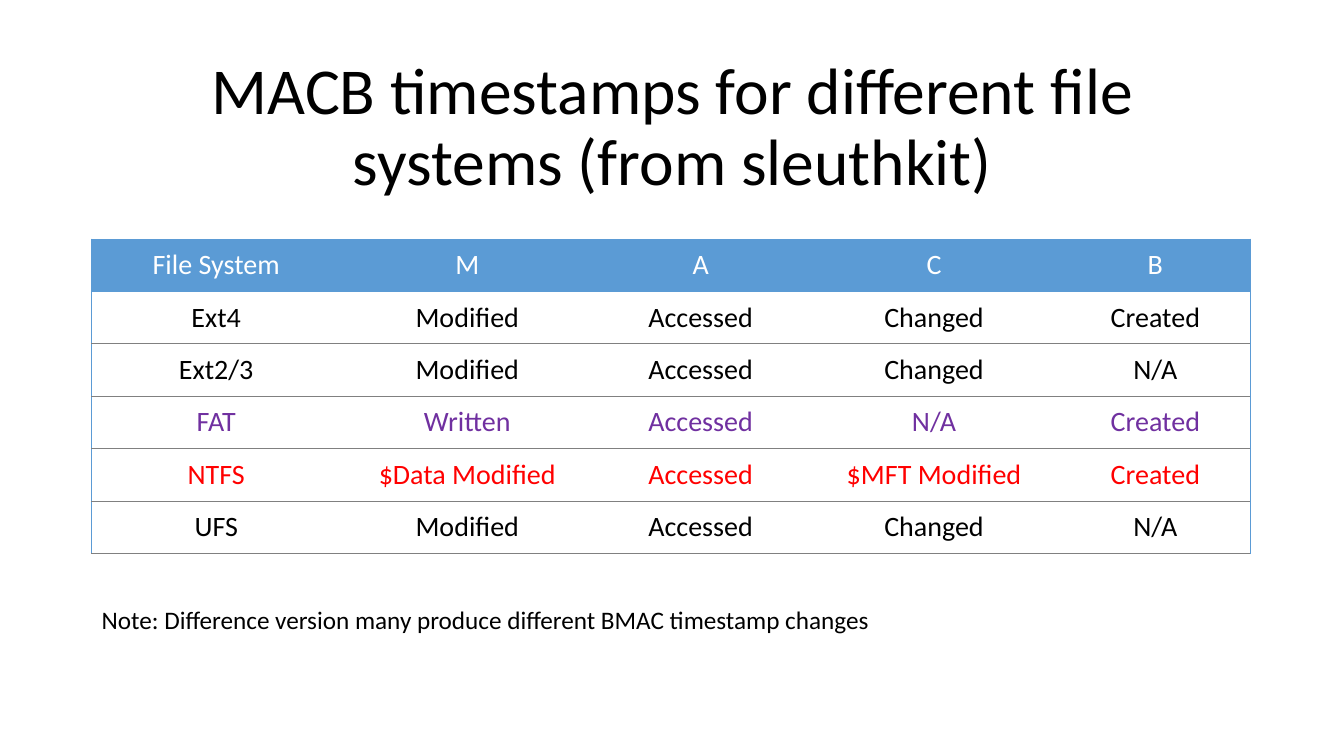
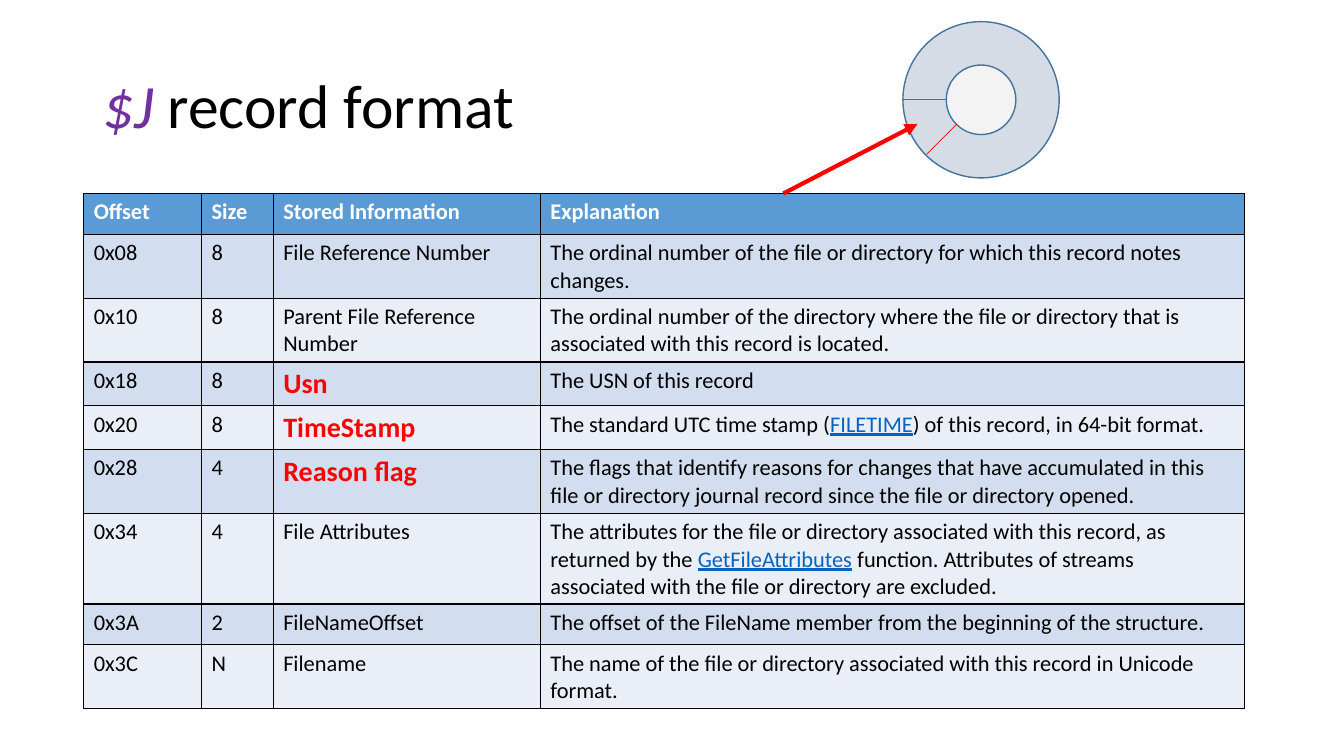
from lxml.etree import SubElement
from pptx import Presentation
from pptx.dml.color import RGBColor
from pptx.enum.shapes import MSO_CONNECTOR, MSO_SHAPE
from pptx.enum.text import MSO_ANCHOR, PP_ALIGN
from pptx.oxml.ns import qn
from pptx.util import Inches, Pt

BLACK = RGBColor(0, 0, 0)
WHITE = RGBColor(0xFF, 0xFF, 0xFF)
RED = RGBColor(0xFF, 0, 0)
PURPLE = RGBColor(0x70, 0x30, 0xA0)
BLUE = RGBColor(0x5B, 0x9B, 0xD5)
NAVY = RGBColor(0x43, 0x73, 0x9E)
LINK = RGBColor(0x05, 0x63, 0xC1)
GREY = RGBColor(0x80, 0x80, 0x80)
DISK = RGBColor(0xD6, 0xDC, 0xE5)
HUB = RGBColor(0xF3, 0xF3, 0xF3)
BANDS = RGBColor(0xD2, 0xDE, 0xEF), RGBColor(0xEA, 0xEF, 0xF7)
FONT = "Calibri"

STAMPS = [
    ("File System", "M", "A", "C", "B"),
    ("Ext4", "Modified", "Accessed", "Changed", "Created"),
    ("Ext2/3", "Modified", "Accessed", "Changed", "N/A"),
    ("FAT", "Written", "Accessed", "N/A", "Created"),
    ("NTFS", "$Data Modified", "Accessed", "$MFT Modified", "Created"),
    ("UFS", "Modified", "Accessed", "Changed", "N/A"),
]
TINTS = {"File System": WHITE, "FAT": PURPLE, "NTFS": RED}
NOTE = "Note: Difference version many produce different BMAC timestamp changes"

# A tuple holds plain text, a linked word, then plain text.
FIELDS = [
    ("Offset", "Size", "Stored Information", "Explanation"),
    ("0x08", "8", "File Reference Number",
     "The ordinal number of the file or directory for which this record notes changes."),
    ("0x10", "8", "Parent File Reference Number",
     "The ordinal number of the directory where the file or directory that is "
     "associated with this record is located."),
    ("0x18", "8", "Usn", "The USN of this record"),
    ("0x20", "8", "TimeStamp",
     ("The standard UTC time stamp (", "FILETIME", ") of this record, in 64-bit format.")),
    ("0x28", "4", "Reason flag",
     "The flags that identify reasons for changes that have accumulated in this "
     "file or directory journal record since the file or directory opened."),
    ("0x34", "4", "File Attributes",
     ("The attributes for the file or directory associated with this record, as returned by the ",
      "GetFileAttributes",
      " function. Attributes of streams associated with the file or directory are excluded.")),
    ("0x3A", "2", "FileNameOffset",
     "The offset of the FileName member from the beginning of the structure."),
    ("0x3C", "N", "Filename",
     "The name of the file or directory associated with this record in Unicode format."),
]
KEYS = {"Usn", "TimeStamp", "Reason flag"}


def write(frame, parts, size, color=BLACK, bold=False, align=PP_ALIGN.LEFT):
    para = frame.paragraphs[0]
    para.alignment = align
    font = para.font
    font.name, font.size, font.bold = FONT, Pt(size), bold
    font.color.rgb = color
    for part in [parts] if isinstance(parts, str) else parts:
        para.add_run().text = part
    return para


def add_text(slide, at, parts, size, anchor=MSO_ANCHOR.TOP, align=PP_ALIGN.LEFT):
    frame = slide.shapes.add_textbox(*map(Inches, at)).text_frame
    frame.word_wrap = True
    frame.vertical_anchor = anchor
    return write(frame, parts, size, align=align)


def add_title(slide, at, parts, size, anchor, align=PP_ALIGN.LEFT):
    para = add_text(slide, at, parts, size, anchor, align)
    para.line_spacing = 0.9
    return para


def add_grid(slide, left, top, cols, high, rows):
    size = map(Inches, (left, top, sum(cols), high * len(rows)))
    table = slide.shapes.add_table(len(rows), len(cols), *size).table
    table.first_row = table.horz_banding = False
    for col, wide in zip(table.columns, cols):
        col.width = Inches(wide)
    for row in table.rows:
        row.height = Inches(high)
    return table


def edge(cell, sides, width):
    """Draw the left, right, top and bottom borders; None hides one."""
    props = cell._tc.get_or_add_tcPr()
    for side, color in zip("LRTB", sides):
        line = SubElement(props, qn("a:ln" + side), w=str(Pt(width)))
        if color is None:
            SubElement(line, qn("a:noFill"))
        else:
            fill = SubElement(line, qn("a:solidFill"))
            SubElement(fill, qn("a:srgbClr"), val=str(color))


def paint(cell, color):
    if color is None:
        cell.fill.background()
    else:
        cell.fill.solid()
        cell.fill.fore_color.rgb = color


def add_disc(slide, mid, wide, color):
    x, y = mid
    at = x - wide / 2, y - wide / 2, wide, wide
    disc = slide.shapes.add_shape(MSO_SHAPE.FLOWCHART_CONNECTOR, *map(Inches, at))
    disc.shadow.inherit = False
    disc.fill.solid()
    disc.fill.fore_color.rgb = color
    disc.line.color.rgb = NAVY
    disc.line.width = Pt(1)


def add_line(slide, ends, color, width, arrow=False):
    line = slide.shapes.add_connector(MSO_CONNECTOR.STRAIGHT, *map(Inches, ends))
    line.line.color.rgb = color
    line.line.width = Pt(width)
    if arrow:
        SubElement(line.line._get_or_add_ln(), qn("a:tailEnd"), type="triangle")
    SubElement(line._element.spPr, qn("a:effectLst"))


def stamp_slide(slide):
    add_title(slide, (0.92, 0.61, 11.5, 1.42),
              "MACB timestamps for different file systems (from sleuthkit)",
              46.8, MSO_ANCHOR.BOTTOM, PP_ALIGN.CENTER)
    cols = 2.47, 2.51, 2.12, 2.51, 1.88
    table = add_grid(slide, 0.91, 2.37, cols, 0.52, STAMPS)
    for r, row in enumerate(STAMPS):
        for c, text in enumerate(row):
            cell = table.cell(r, c)
            cell.vertical_anchor = MSO_ANCHOR.MIDDLE
            cell.margin_left = cell.margin_right = Inches(0.07)
            cell.margin_top = cell.margin_bottom = Inches(0.07)
            edge(cell, (BLUE if c == 0 else None,
                        BLUE if c == len(cols) - 1 else None,
                        GREY if r > 1 else BLUE,
                        GREY if r else BLUE), 0.5)
            paint(cell, None if r else BLUE)
            write(cell.text_frame, text, 20, TINTS.get(row[0], BLACK),
                  align=PP_ALIGN.CENTER)
    add_text(slide, (0.91, 5.95, 9.88, 0.4), NOTE, 18)


def record_slide(slide):
    table = add_grid(slide, 0.83, 1.92, (1.17, 0.71, 2.65, 6.98), 0.405, FIELDS)
    for r, row in enumerate(FIELDS):
        for c, text in enumerate(row):
            cell = table.cell(r, c)
            key = text in KEYS
            edge(cell, [BLACK] * 4, 1)
            paint(cell, BANDS[(r - 1) % 2] if r else BLUE)
            color = RED if key else BLACK if r else WHITE
            para = write(cell.text_frame, text, 20 if key else 16, color, key or r == 0)
            for run in para.runs[1::2]:
                run.font.color.rgb = LINK
                run.font.underline = True

    title = add_title(slide, (0.92, 0.4, 11.5, 1.36), ("$J ", "record format"),
                      44, MSO_ANCHOR.MIDDLE)
    mark = title.runs[0].font
    mark.italic = True
    mark.color.rgb = PURPLE

    mid = 9.73, 0.99
    add_disc(slide, mid, 1.55, DISK)
    add_disc(slide, mid, 0.69, HUB)
    add_line(slide, (8.96, 0.99, 9.39, 0.99), NAVY, 0.5)
    add_line(slide, (9.19, 1.53, 9.49, 1.23), RED, 0.5)
    add_line(slide, (7.77, 1.92, 9.1, 1.23), RED, 3, arrow=True)


def main():
    deck = Presentation()
    deck.slide_width, deck.slide_height = Inches(13.33), Inches(7.5)
    for build in (stamp_slide, record_slide):
        build(deck.slides.add_slide(deck.slide_layouts[6]))
    deck.save("out.pptx")


if __name__ == "__main__":
    main()
